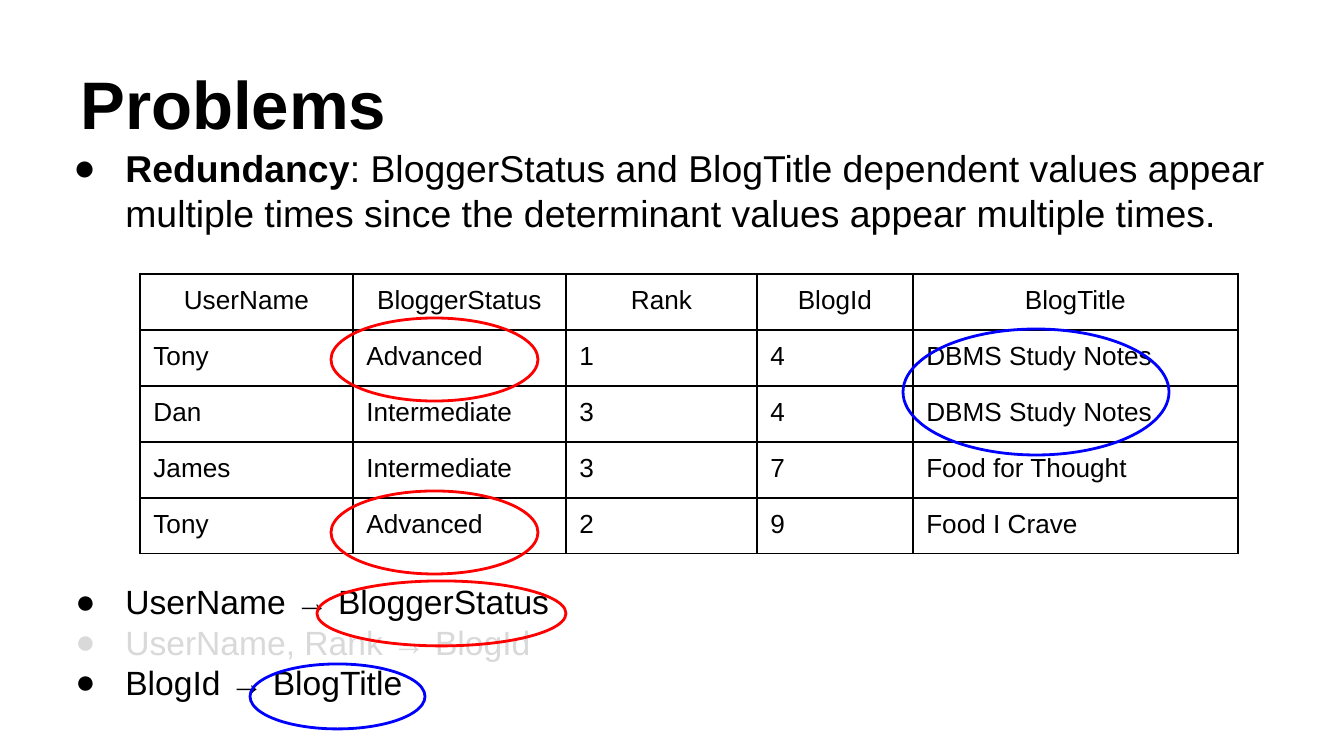
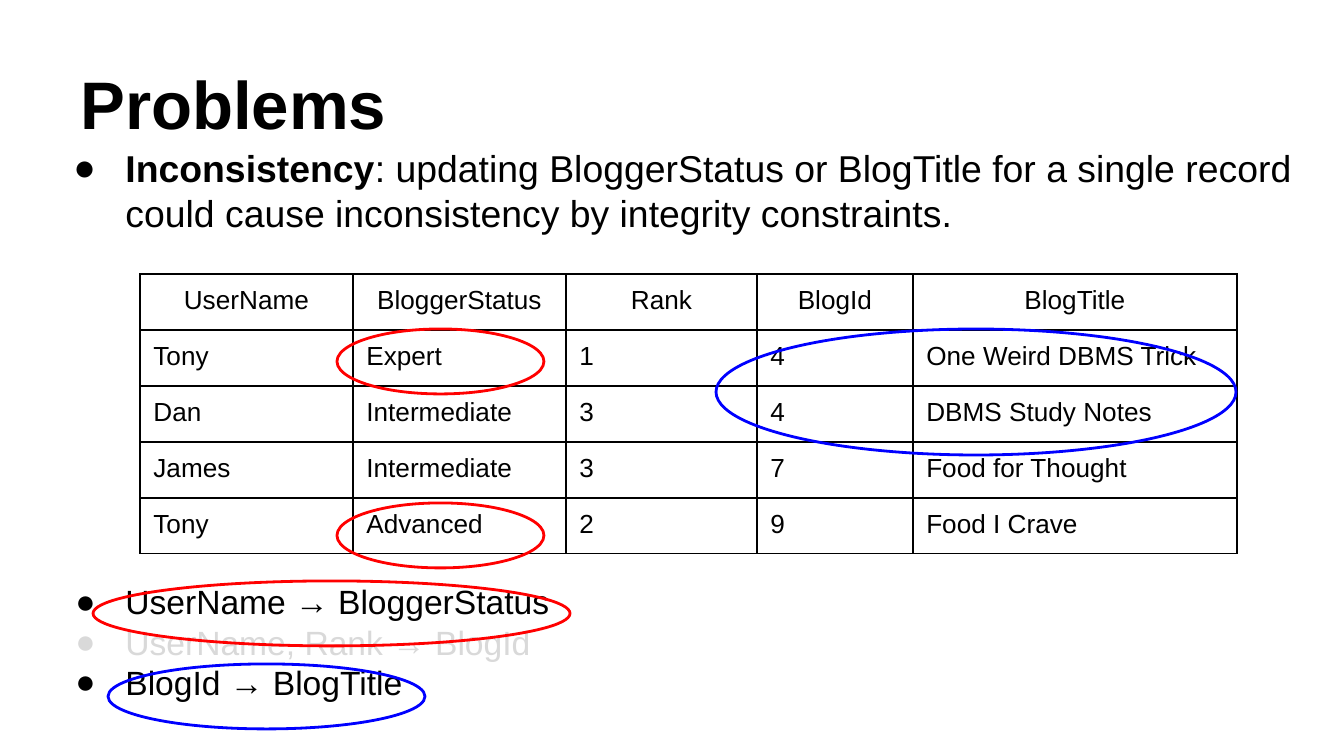
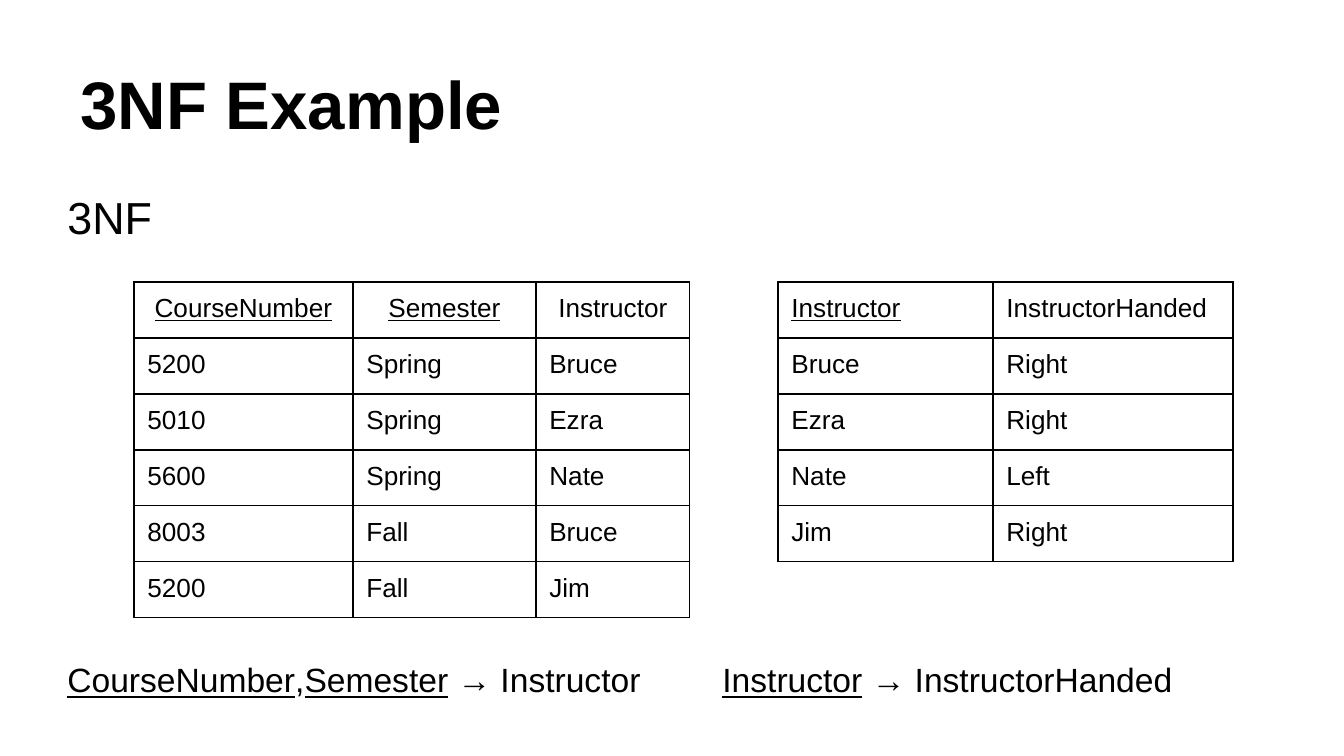
"""Three slides on normal forms: two on update problems and one 3NF example."""
from dataclasses import dataclass, field

from lxml import etree
from pptx import Presentation
from pptx import util as u
from pptx.dml.color import RGBColor
from pptx.enum import shapes, text
from pptx.oxml import ns

PX = 914400 / 134.4  # EMU in one pixel
FONT = "Arial"
COLORS = {"ink": "000000", "faded": "D9D9D9", "red": "FF0000", "blue": "0000FF"}
INSET = 91425
ROW_HEIGHT = 56
CELL_PADDING = 12  # above and below the text of a cell


@dataclass
class Span:
    """A stretch of text in one format."""
    text: str
    size: float
    bold: bool = False
    underline: bool = False
    color: str = "ink"


@dataclass
class Line:
    """A paragraph: its spans, space before in points, bullet and tab stop."""
    spans: list[Span]
    before: float = 0
    hang: int = 0
    tab: int = 0


@dataclass
class Grid:
    """A table: place, column widths and rows, the first being the header."""
    left: int
    top: int
    widths: list[int]
    rows: list[list[str]]
    keys: set[str] = field(default_factory=set)
    centered: bool = True


@dataclass
class Ring:
    """An outlined ellipse that marks values."""
    color: str
    left: int
    top: int
    width: int
    height: int


@dataclass
class Problem:
    """A slide that names one problem and rings the values concerned."""
    name: str
    detail: str
    body_width: int
    grid: Grid
    rings: list[Ring]


def px(count: float) -> int:
    """Turn pixels into EMU."""
    return u.Emu(round(count * PX))


def style(run, span: Span) -> None:
    """Format a run the way its span says."""
    run.font.name = FONT
    run.font.size = u.Pt(span.size)
    run.font.bold = span.bold
    run.font.underline = span.underline
    run.font.color.rgb = RGBColor.from_string(COLORS[span.color])


def add_child(parent, tag: str, **attributes: str):
    """Append a drawing element to a parent."""
    return etree.SubElement(parent, ns.qn(tag), attributes)


def set_bullet(para, line: Line) -> None:
    """Give a paragraph a round bullet with a hanging indent."""
    props = para._p.get_or_add_pPr()
    props.set("marL", str(px(67)))
    props.set("indent", str(-px(line.hang)))
    color = add_child(props, "a:buClr")
    add_child(color, "a:srgbClr", val=COLORS[line.spans[0].color])
    add_child(props, "a:buFont", typeface=FONT)
    add_child(props, "a:buChar", char="●")


def set_tab(para, position: int) -> None:
    """Add one left tab stop to a paragraph."""
    stops = add_child(para._p.get_or_add_pPr(), "a:tabLst")
    add_child(stops, "a:tab", pos=str(px(position)), algn="l")


def add_text(page, left: int, top: int, width: int, height: int, lines: list[Line],
             anchor=text.MSO_ANCHOR.TOP) -> None:
    """Draw a text box with the given paragraphs."""
    box = page.shapes.add_textbox(px(left), px(top), px(width), px(height))
    frame = box.text_frame
    frame.word_wrap = True
    frame.vertical_anchor = anchor
    frame.margin_left = frame.margin_right = INSET
    frame.margin_top = frame.margin_bottom = INSET
    for index, line in enumerate(lines):
        para = frame.add_paragraph() if index else frame.paragraphs[0]
        para.space_before = u.Pt(line.before)
        if line.hang:
            set_bullet(para, line)
        if line.tab:
            set_tab(para, line.tab)
        for span in line.spans:
            run = para.add_run()
            run.text = span.text
            style(run, span)


def add_title(page, title: str) -> None:
    """Draw the slide title."""
    add_text(page, 67, 30, 1210, 126, [Line([Span(title, 36, bold=True)])],
             anchor=text.MSO_ANCHOR.BOTTOM)


def set_borders(cell) -> None:
    """Draw thin lines on all four sides of a cell."""
    props = cell._tc.get_or_add_tcPr()
    for index, side in enumerate(("a:lnL", "a:lnR", "a:lnT", "a:lnB")):
        edge = etree.Element(ns.qn(side), w=str(u.Pt(0.75)))
        fill = add_child(edge, "a:solidFill")
        add_child(fill, "a:srgbClr", val=COLORS["ink"])
        props.insert(index, edge)


def add_grid(page, grid: Grid) -> None:
    """Draw a plain bordered table."""
    count = len(grid.rows)
    frame = page.shapes.add_table(count, len(grid.widths), px(grid.left), px(grid.top),
                                  px(sum(grid.widths)), px(count * ROW_HEIGHT))
    table = frame.table
    table.first_row = table.horz_banding = False
    for column, width in zip(table.columns, grid.widths):
        column.width = px(width)
    for r, values in enumerate(grid.rows):
        table.rows[r].height = px(ROW_HEIGHT)
        for c, value in enumerate(values):
            cell = table.cell(r, c)
            cell.margin_left = cell.margin_right = INSET
            cell.margin_top = cell.margin_bottom = px(CELL_PADDING)
            cell.fill.background()
            set_borders(cell)
            para = cell.text_frame.paragraphs[0]
            para.text = value
            header = r == 0
            if header and grid.centered:
                para.alignment = text.PP_ALIGN.CENTER
            style(para.runs[0], Span(value, 14, underline=header and value in grid.keys))


def add_ring(page, ring: Ring) -> None:
    """Draw an unfilled ellipse."""
    oval = page.shapes.add_shape(shapes.MSO_SHAPE.OVAL, px(ring.left), px(ring.top),
                                 px(ring.width), px(ring.height))
    oval.shadow.inherit = False
    oval.fill.background()
    oval.line.color.rgb = RGBColor.from_string(COLORS[ring.color])
    oval.line.width = u.Pt(1.5)


def add_problem(page, problem: Problem) -> None:
    """Draw a problem slide with its table, dependencies and rings."""
    add_title(page, "Problems")
    add_text(page, 45, 132, problem.body_width, 580, [
        Line([Span(problem.name, 20, bold=True), Span(": " + problem.detail, 20)], hang=52),
        Line([Span("UserName → BloggerStatus", 18)], before=185.5, hang=50),
        Line([Span("UserName, Rank → BlogId", 18, color="faded")], hang=50),
        Line([Span("BlogId → BlogTitle", 18)], hang=50),
    ])
    add_grid(page, problem.grid)
    for ring in problem.rings:
        add_ring(page, ring)


def add_example(page) -> None:
    """Draw the 3NF example with its two tables."""
    add_title(page, "3NF Example")
    add_text(page, 54, 176, 1246, 547, [
        Line([Span("3NF", 24)]),
        Line([Span("CourseNumber", 18, underline=True), Span(",", 18),
              Span("Semester", 18, underline=True), Span(" → Instructor\t", 18),
              Span("Instructor", 18, underline=True), Span(" → InstructorHanded", 18)],
             before=223, tab=655),
    ])
    for grid in (INSTRUCTORS, COURSES):
        add_grid(page, grid)


def blog_grid(first_status: str, first_title: str, title_width: int) -> Grid:
    """Make the blog table, whose first record differs between slides."""
    return Grid(140, 274, [213, 213, 191, 156, title_width], [
        ["UserName", "BloggerStatus", "Rank", "BlogId", "BlogTitle"],
        ["Tony", first_status, "1", "4", first_title],
        ["Dan", "Intermediate", "3", "4", "DBMS Study Notes"],
        ["James", "Intermediate", "3", "7", "Food for Thought"],
        ["Tony", "Advanced", "2", "9", "Food I Crave"],
    ])


PROBLEMS = [
    Problem(
        "Redundancy",
        "BloggerStatus and BlogTitle dependent values appear multiple times "
        "since the determinant values appear multiple times.",
        1239, blog_grid("Advanced", "DBMS Study Notes", 325),
        [Ring("blue", 903, 329, 266, 126), Ring("red", 331, 318, 207, 83),
         Ring("red", 317, 581, 249, 65), Ring("blue", 250, 664, 175, 65),
         Ring("red", 331, 491, 207, 83)]),
    Problem(
        "Inconsistency",
        "updating BloggerStatus or BlogTitle for a single record "
        "could cause inconsistency by integrity constraints.",
        1265, blog_grid("Expert", "One Weird DBMS Trick", 324),
        [Ring("red", 337, 329, 207, 65), Ring("blue", 716, 329, 520, 126),
         Ring("red", 93, 581, 477, 65), Ring("blue", 108, 664, 317, 65),
         Ring("red", 337, 503, 207, 65)]),
]

INSTRUCTORS = Grid(778, 282, [215, 240], [
    ["Instructor", "InstructorHanded"],
    ["Bruce", "Right"],
    ["Ezra", "Right"],
    ["Nate", "Left"],
    ["Jim", "Right"],
], keys={"Instructor"}, centered=False)

COURSES = Grid(134, 282, [219, 183, 154], [
    ["CourseNumber", "Semester", "Instructor"],
    ["5200", "Spring", "Bruce"],
    ["5010", "Spring", "Ezra"],
    ["5600", "Spring", "Nate"],
    ["8003", "Fall", "Bruce"],
    ["5200", "Fall", "Jim"],
], keys={"CourseNumber", "Semester"})


def main() -> None:
    """Build and save the deck."""
    deck = Presentation()
    deck.slide_width, deck.slide_height = px(1344), px(756)
    blank = deck.slide_layouts[6]
    for problem in PROBLEMS:
        add_problem(deck.slides.add_slide(blank), problem)
    add_example(deck.slides.add_slide(blank))
    deck.save("out.pptx")


main()
